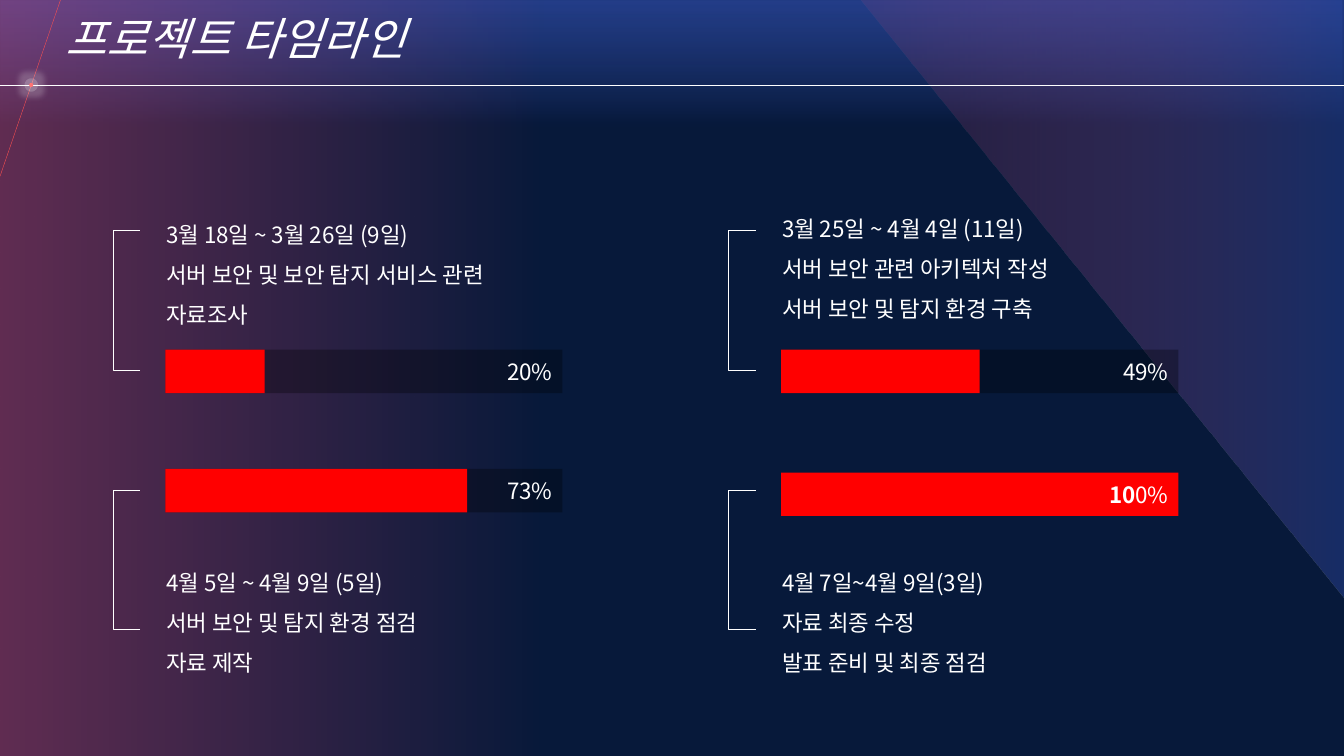
from dataclasses import dataclass
from lxml import etree
from pptx import Presentation, util as u
from pptx.dml.color import RGBColor
from pptx.enum import shapes, text
from pptx.oxml.ns import qn

COLS, ROWS = 40, 22.5
CELL = u.Inches(13.333) / COLS
KIND = shapes.MSO_SHAPE


@dataclass(frozen=True)
class Theme:
    navy: str = "07193A"
    blue: str = "2B479D"
    pink: str = "F14E79"
    coral: str = "FF5050"
    red: str = "FF0000"
    black: str = "000000"
    white: str = "FFFFFF"
    font: str = "Noto Sans CJK KR"
    head: int = 32
    body: int = 16


T = Theme()

# Bracket corner (column, row), bar row and text row from it, text width,
# filled share, label runs (words, bold), lines
TASKS = [
    ((3.36, 6.87), 3.54, -0.84, 11.34, 0.25, [("20%", False)],
     ["3월 18일 ~ 3월 26일 (9일)", "서버 보안 및 보안 탐지 서비스 관련 자료조사"]),
    ((21.69, 6.87), 3.54, -1.02, 12.06, 0.5, [("49%", False)],
     ["3월 25일 ~ 4월 4일 (11일)", "서버 보안 관련 아키텍처 작성",
      "서버 보안 및 탐지 환경 구축"]),
    ((3.36, 14.6), -0.64, 1.78, 12.06, 0.76, [("73%", False)],
     ["4월 5일 ~ 4월 9일 (5일)", "서버 보안 및 탐지 환경 점검", "자료 제작"]),
    ((21.69, 14.6), -0.53, 1.78, 12.06, 1, [("10", True), ("0%", False)],
     ["4월 7일~4월 9일(3일)", "자료 최종 수정", "발표 준비 및 최종 점검"]),
]


def rgb(code):
    return RGBColor.from_string(code)


def emu(*cells):
    return [u.Emu(round(c * CELL)) for c in cells]


def sheer(color, share):
    """Set the opacity of a colour element, in percent."""
    etree.SubElement(color, qn("a:alpha")).set("val", str(share * 1000))


def shape(slide, kind, box, fill=None, alpha=None):
    form = slide.shapes.add_shape(kind, *emu(*box))
    form.shadow.inherit = False
    form.line.fill.background()
    if fill:
        form.fill.solid()
        form.fill.fore_color.rgb = rgb(fill)
    else:
        form.fill.background()
    if alpha is not None:
        sheer(form._element.spPr.find(".//" + qn("a:srgbClr")), alpha)
    return form


def blend(form, angle, *stops):
    """Fill with two stops of (place, colour, opacity)."""
    form.fill.gradient()
    form.fill.gradient_angle = angle
    for stop, (place, color, alpha) in zip(form.fill.gradient_stops, stops):
        stop.position = place
        stop.color.rgb = rgb(color)
    marks = form._element.spPr.iter(qn("a:srgbClr"))
    for mark, (place, color, alpha) in zip(marks, stops):
        sheer(mark, alpha)


def rule(slide, start, end, color):
    line = slide.shapes.add_connector(
        shapes.MSO_CONNECTOR.STRAIGHT, *emu(*start, *end))
    line.line.color.rgb = rgb(color)
    line.line.width = u.Pt(0.25)
    etree.SubElement(line._element.spPr, qn("a:effectLst"))


def write(para, words, size, bold=None, italic=None):
    run = para.add_run()
    run.text = words
    font = run.font
    font.name, font.size = T.font, u.Pt(size)
    font.bold, font.italic = bold, italic
    font.color.rgb = rgb(T.white)
    etree.SubElement(run._r.rPr, qn("a:ea")).set("typeface", T.font)


def backdrop(slide):
    back = slide.background.fill
    back.solid()
    back.fore_color.rgb = rgb(T.navy)
    sky = shape(slide, KIND.RECTANGLE, (0, 0, COLS, ROWS))
    blend(sky, 270, (0, T.blue, 80), (0.17, T.navy, 100))
    side = shape(slide, KIND.RECTANGLE, (0, 0, 16.41, ROWS))
    side.rotation = 180
    blend(side, 0, (0, T.pink, 0), (1, T.pink, 39))
    wedge = shape(slide, KIND.RIGHT_TRIANGLE, (25.62, 0, 14.38, 17.8))
    wedge.rotation = 180
    blend(wedge, 0, (0, T.blue, 45), (1, T.pink, 10))


def header(slide, box):
    left, top, wide, high = box
    base = top + high
    rule(slide, (left, 5.25), (left + 1.8, top), T.coral)
    rule(slide, (left, base), (left + wide, base), T.white)
    dot = shape(slide, KIND.OVAL, (left + 0.87, base - 0.06, 0.12, 0.12), T.coral)
    dot.line.color.rgb = rgb(T.white)
    dot.line.width = u.Pt(6.75)
    props = dot._element.spPr
    sheer(props.find(qn("a:ln")).find(".//" + qn("a:srgbClr")), 20)
    glow = etree.SubElement(props.find(qn("a:effectLst")), qn("a:glow"))
    glow.set("rad", str(u.Pt(8)))
    tint = etree.SubElement(glow, qn("a:srgbClr"))
    tint.set("val", T.white)
    sheer(tint, 20)

    title = slide.shapes.title
    title.left, title.top, title.width, title.height = emu(
        left + 1.65, top + 0.18, 20.25, 1.92)
    frame = title.text_frame
    frame.auto_size = text.MSO_AUTO_SIZE.SHAPE_TO_FIT_TEXT
    frame.vertical_anchor = text.MSO_ANCHOR.TOP
    para = frame.paragraphs[0]
    para.alignment = text.PP_ALIGN.LEFT
    write(para, "프로젝트 타임라인", T.head, italic=True)
    slide.shapes._spTree.append(title._element)


def meter(slide, box, share, label):
    left, top, wide, high = box
    full = share == 1
    track = shape(slide, KIND.RECTANGLE, box,
                  T.red if full else T.black, None if full else 30)
    track.text_frame.vertical_anchor = text.MSO_ANCHOR.MIDDLE
    para = track.text_frame.paragraphs[0]
    para.alignment = text.PP_ALIGN.RIGHT
    for words, bold in label:
        write(para, words, T.body, bold)
    if not full:
        shape(slide, KIND.RECTANGLE, (left, top, wide * share, high), T.red)


def notes(slide, box, lines):
    frame = slide.shapes.add_textbox(*emu(*box)).text_frame
    frame.word_wrap = True
    frame.auto_size = text.MSO_AUTO_SIZE.SHAPE_TO_FIT_TEXT
    for i, words in enumerate(lines):
        para = frame.add_paragraph() if i else frame.paragraphs[0]
        para.line_spacing = 1.5
        write(para, words, T.body)


def task(slide, spot, bar, copy, wide, share, label, lines):
    left, top = spot
    hook = shape(slide, KIND.LEFT_BRACKET, (left, top, 0.81, 4.14))
    hook.adjustments[0] = 0
    hook.line.color.rgb = rgb(T.white)
    hook.line.width = u.Pt(0.5)
    meter(slide, (left + 1.56, top + bar, 11.82, 1.29), share, label)
    notes(slide, (left + 1.29, top + copy, wide, 3.75), lines)


def main():
    deck = Presentation()
    deck.slide_width, deck.slide_height = emu(COLS, ROWS)
    slide = deck.slides.add_slide(deck.slide_layouts[5])
    backdrop(slide)
    header(slide, (0, 0, COLS, 2.53))
    for item in TASKS:
        task(slide, *item)
    deck.save("out.pptx")


if __name__ == "__main__":
    main()
